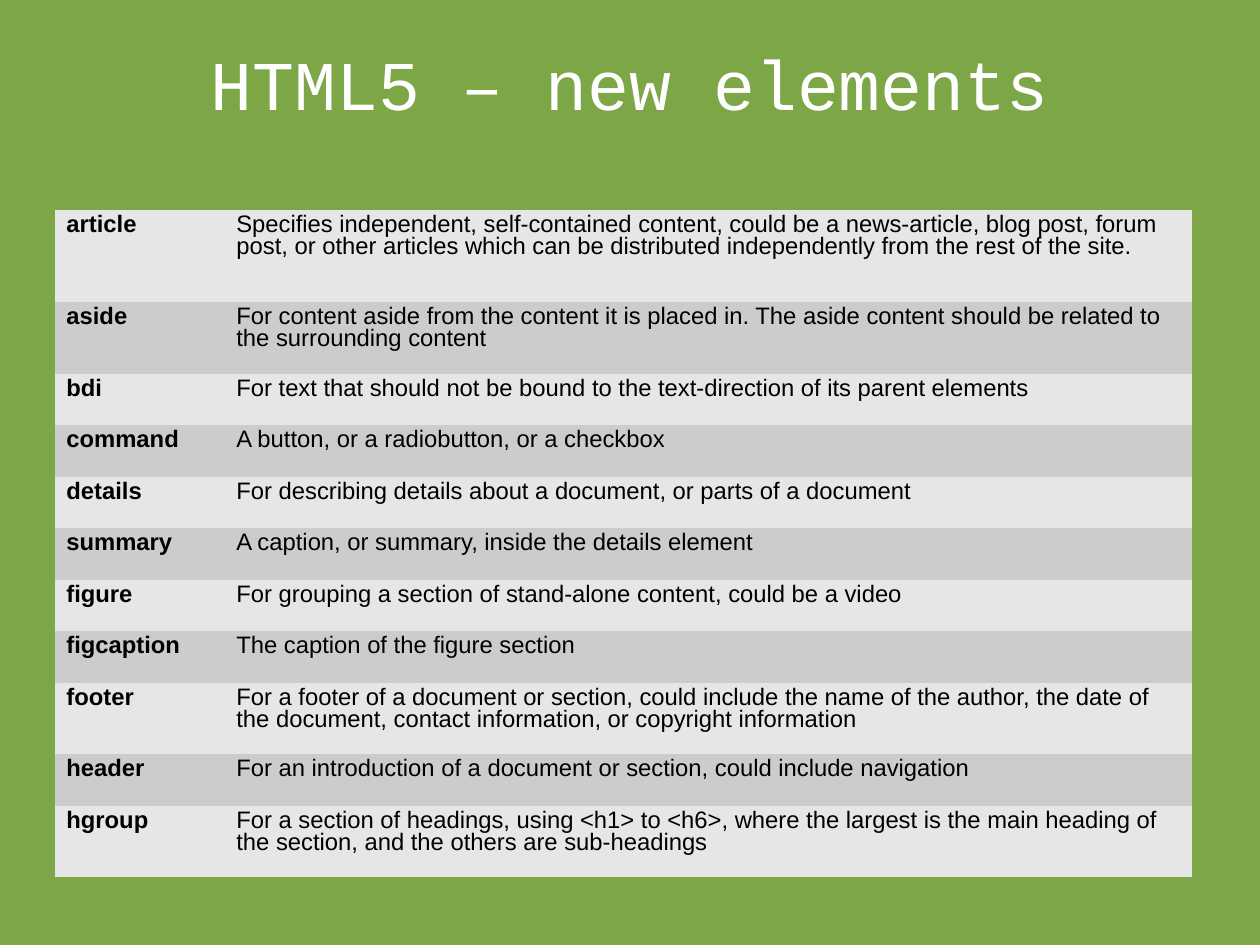
from pptx import Presentation
from pptx.dml.color import RGBColor
from pptx.enum.text import MSO_ANCHOR, MSO_AUTO_SIZE, PP_ALIGN
from pptx.oxml.ns import qn
from pptx.util import Emu, Pt

EMU_PER_PX = 8000
PLAIN_TABLE_STYLE = "{2D5ABB26-0587-4C30-8999-92F81FD0307C}"
BAND_COLOURS = ("E6E6E6", "CCCCCC")
NAME_WIDTH = 170

# Element name, description, row height in px
ELEMENTS = [
    ("article", "Specifies independent, self-contained content, could be a news-article, "
     "blog post, forum post, or other articles which can be distributed independently "
     "from the rest of the site.", 92),
    ("aside", "For content aside from the content it is placed in. The aside content "
     "should be related to the surrounding content", 72),
    ("bdi", "For text that should not be bound to the text-direction of its parent elements", 51),
    ("command", "A button, or a radiobutton, or a checkbox", 52),
    ("details", "For describing details about a document, or parts of a document", 51),
    ("summary", "A caption, or summary, inside the details element", 52),
    ("figure", "For grouping a section of stand-alone content, could be a video", 51),
    ("figcaption", "The caption of the figure section", 52),
    ("footer", "For a footer of a document or section, could include the name of the "
     "author, the date of the document, contact information, or copyright information", 71),
    ("header", "For an introduction of a document or section, could include navigation", 52),
    ("hgroup", "For a section of headings, using <h1> to <h6>, where the largest is the "
     "main heading of the section, and the others are sub-headings", 71),
]


def px(length):
    return Emu(length * EMU_PER_PX)


def colour(value):
    return RGBColor.from_string(value)


def add_span(para, text, font, size, ink, bold=False):
    span = para.add_run()
    span.text = text
    span.font.name = font
    span.font.size = Pt(size)
    span.font.bold = bold
    span.font.color.rgb = colour(ink)


def place_title(page, box):
    title = page.shapes.title
    title.left, title.top, title.width, title.height = map(px, box)
    frame = title.text_frame
    frame.margin_left = frame.margin_right = frame.margin_top = frame.margin_bottom = 0
    frame.vertical_anchor = MSO_ANCHOR.MIDDLE
    frame.auto_size = MSO_AUTO_SIZE.NONE
    frame.word_wrap = True
    para = frame.paragraphs[0]
    para.alignment = PP_ALIGN.CENTER
    para.line_spacing = 0.93
    add_span(para, "HTML5 – new elements", "Courier New", 44, "FFFFFF")


def place_elements_table(page, box):
    left, top, width, height = map(px, box)
    table = page.shapes.add_table(len(ELEMENTS), 2, left, top, width, height).table
    table.first_row = table.horz_banding = False
    table._tbl.tblPr.find(qn("a:tableStyleId")).text = PLAIN_TABLE_STYLE
    table.columns[0].width = px(NAME_WIDTH)
    table.columns[1].width = width - px(NAME_WIDTH)

    for index, (name, description, row_height) in enumerate(ELEMENTS):
        table.rows[index].height = px(row_height)
        for column, text in enumerate((name, description)):
            cell = table.cell(index, column)
            cell.fill.solid()
            cell.fill.fore_color.rgb = colour(BAND_COLOURS[index % 2])
            para = cell.text_frame.paragraphs[0]
            para.line_spacing = 0.81
            add_span(para, text, "Arial", 15, "000000", bold=column == 0)


def main():
    deck = Presentation()
    deck.slide_width, deck.slide_height = px(1260), px(945)
    page = deck.slides.add_slide(deck.slide_layouts[5])

    # Background
    page.background.fill.solid()
    page.background.fill.fore_color.rgb = colour("7DA647")

    # Title and table
    place_title(page, (63, 39, 1134, 96))
    place_elements_table(page, (55, 210, 1137, 667))
    deck.save("out.pptx")


if __name__ == "__main__":
    main()
